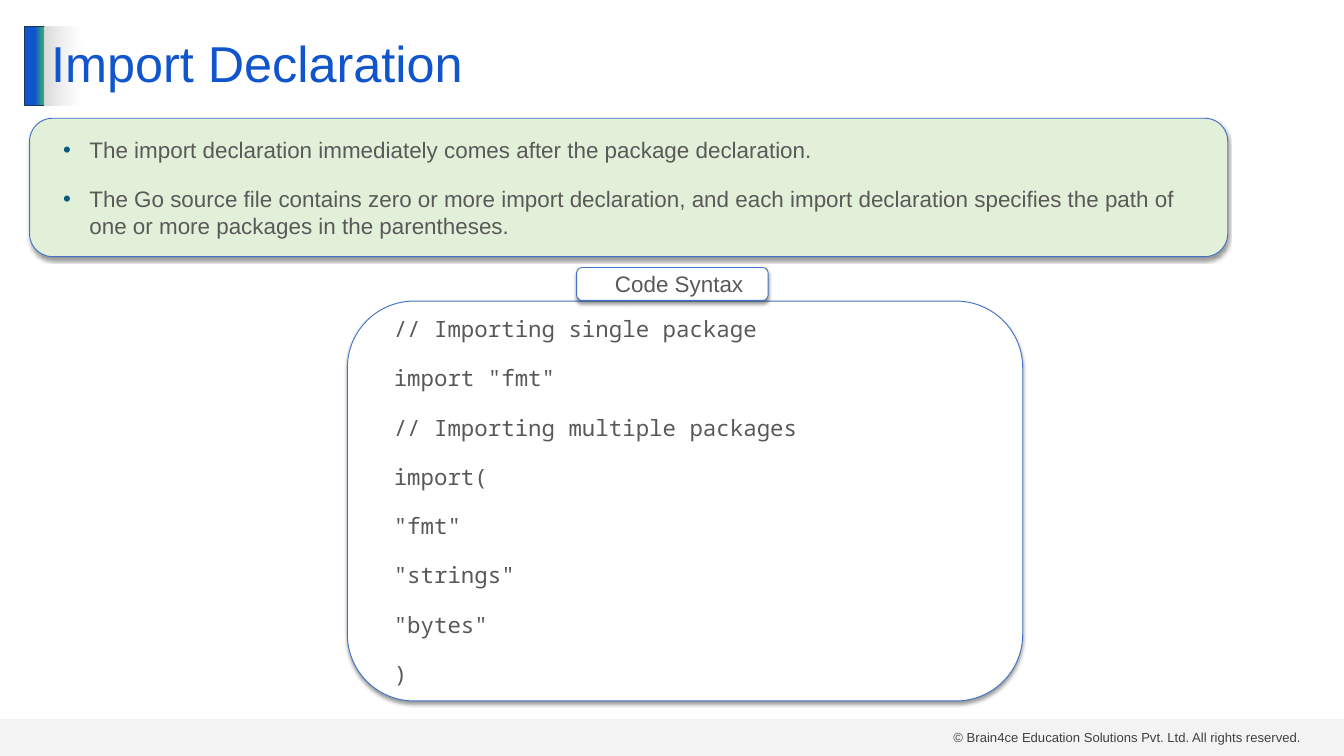
from lxml.etree import SubElement
from pptx import Presentation
from pptx.dml.color import RGBColor
from pptx.enum.shapes import MSO_SHAPE as Shape
from pptx.enum.text import MSO_ANCHOR as Anchor, PP_ALIGN as Align
from pptx.oxml import parse_xml
from pptx.oxml.ns import nsdecls, qn
from pptx.util import Pt

TITLE = "Import Declaration"
POINTS = [
    "The import declaration immediately comes after the package declaration.",
    "The Go source file contains zero or more import declaration, and each import declaration "
    "specifies the path of one or more packages in the parentheses.",
]
LABEL = "Code Syntax"
CODE = [
    "// Importing single package",
    'import "fmt"',
    "// Importing multiple packages",
    "import(",
    '"fmt"',
    '"strings"',
    '"bytes"',
    ")",
]
COPYRIGHT = "© Brain4ce Education Solutions Pvt. Ltd. All rights reserved."

BLUE, GREEN, GREY, EDGE = "1155CC", "2EA87D", "595959", "4472C4"
BAR_STOPS = [(51, BLUE, 100), (90, GREEN, 100), (100, GREEN, 100)]
TITLE_STOPS = [(0, "D9D9D9", 100), (3, "FFFFFF", 50), (100, "FFFFFF", 50)]


def color(value):
    return RGBColor.from_string(value)


def set_font(para, size, value, name="Arial"):
    para.font.size, para.font.name = Pt(size), name
    para.font.color.rgb = color(value)


def set_gradient(shape, stops):
    stop_xml = "".join(
        f'<a:gs pos="{pos * 1000}"><a:srgbClr val="{value}">'
        f'<a:alpha val="{alpha * 1000}"/></a:srgbClr></a:gs>'
        for pos, value, alpha in stops
    )
    gradient = parse_xml(
        f'<a:gradFill {nsdecls("a")} rotWithShape="1"><a:gsLst>{stop_xml}</a:gsLst>'
        '<a:lin ang="0" scaled="0"/></a:gradFill>'
    )
    properties = shape.element.spPr
    properties.find(qn("a:prstGeom")).addnext(gradient)


def add_shape(page, kind, area, fill=None, line=None):
    shape = page.shapes.add_shape(kind, *map(Pt, area))
    shape.shadow.inherit = False
    if fill:
        shape.fill.solid()
        shape.fill.fore_color.rgb = color(fill)
    if line:
        shape.line.color.rgb = color(line)
        shape.line.width = Pt(1)
    else:
        shape.line.fill.background()
    return shape


def add_panel(page, area, lines, fill="FFFFFF", font="Arial", align=Align.LEFT,
              indent=(14.4, 0), bullet=None, spacing=None):
    panel = add_shape(page, Shape.ROUNDED_RECTANGLE, area, fill, EDGE)
    effects = panel.element.spPr.find(qn("a:effectLst"))
    effects.append(parse_xml(
        f'<a:outerShdw {nsdecls("a")} blurRad="{Pt(4)}" dist="{Pt(3)}" dir="5400000" '
        'algn="t" rotWithShape="0"><a:srgbClr val="000000"><a:alpha val="40000"/>'
        '</a:srgbClr></a:outerShdw>'
    ))
    frame = panel.text_frame
    frame.word_wrap, frame.vertical_anchor = True, Anchor.MIDDLE
    frame.margin_left = frame.margin_right = Pt(14.4)
    frame.margin_top = frame.margin_bottom = Pt(7.2)
    for number, line in enumerate(lines):
        para = frame.add_paragraph() if number else frame.paragraphs[0]
        para.text, para.alignment = line, align
        para.space_before, para.space_after = Pt(12 if number else 0), Pt(12)
        if spacing:
            para.line_spacing = Pt(spacing)
        properties = para._p.get_or_add_pPr()
        properties.set("marL", str(Pt(indent[0])))
        properties.set("indent", str(Pt(indent[1])))
        if bullet:
            tint = SubElement(properties, qn("a:buClr"))
            SubElement(tint, qn("a:srgbClr"), val=bullet)
            SubElement(properties, qn("a:buFont"), typeface="Arial")
            SubElement(properties, qn("a:buChar"), char="•")
        set_font(para, 24, GREY, font)


def add_frame(page):
    footer = add_shape(page, Shape.RECTANGLE, (0, 770.4, 1440, 39.6), "D9D9D9")
    tone = footer.element.spPr.find(qn("a:solidFill"))[0]
    SubElement(tone, qn("a:alpha"), val="29000")
    notice = page.shapes.add_textbox(Pt(1014.5), Pt(777.6), Pt(389.5), Pt(24.5))
    notice.text_frame.word_wrap = True
    para = notice.text_frame.paragraphs[0]
    para.text = COPYRIGHT
    set_font(para, 14, "404040")
    bar = add_shape(page, Shape.RECTANGLE, (26.6, 28.1, 21.6, 85), line="1E3256")
    set_gradient(bar, BAR_STOPS)
    return bar


def place_title(page, below):
    title = page.shapes.title
    title.left, title.top, title.width, title.height = map(Pt, (47.5, 28.1, 1344.2, 85))
    properties = title.element.spPr
    properties.append(parse_xml(f'<a:prstGeom {nsdecls("a")} prst="rect"><a:avLst/></a:prstGeom>'))
    set_gradient(title, TITLE_STOPS)
    title.text_frame.vertical_anchor = Anchor.MIDDLE
    para = title.text_frame.paragraphs[0]
    para.text, para.alignment, para.line_spacing = TITLE, Align.LEFT, 0.9
    set_font(para, 54, BLUE)
    below.element.addnext(title.element)


def main():
    """Build the import declaration slide."""
    deck = Presentation()
    deck.slide_width, deck.slide_height = Pt(1440), Pt(810)
    page = deck.slides.add_slide(deck.slide_layouts[5])
    place_title(page, add_frame(page))
    add_panel(page, (31.7, 126.7, 1283.8, 148.3), POINTS, fill="E2F0D9",
              indent=(42.5, -28.1), bullet="095A82")
    add_panel(page, (372.2, 322.6, 723.6, 428.4), CODE, font="Noto Sans Mono", spacing=28.8)
    add_panel(page, (617.8, 286.6, 205.2, 35.3), [LABEL], align=Align.CENTER)
    deck.save("out.pptx")


if __name__ == "__main__":
    main()
